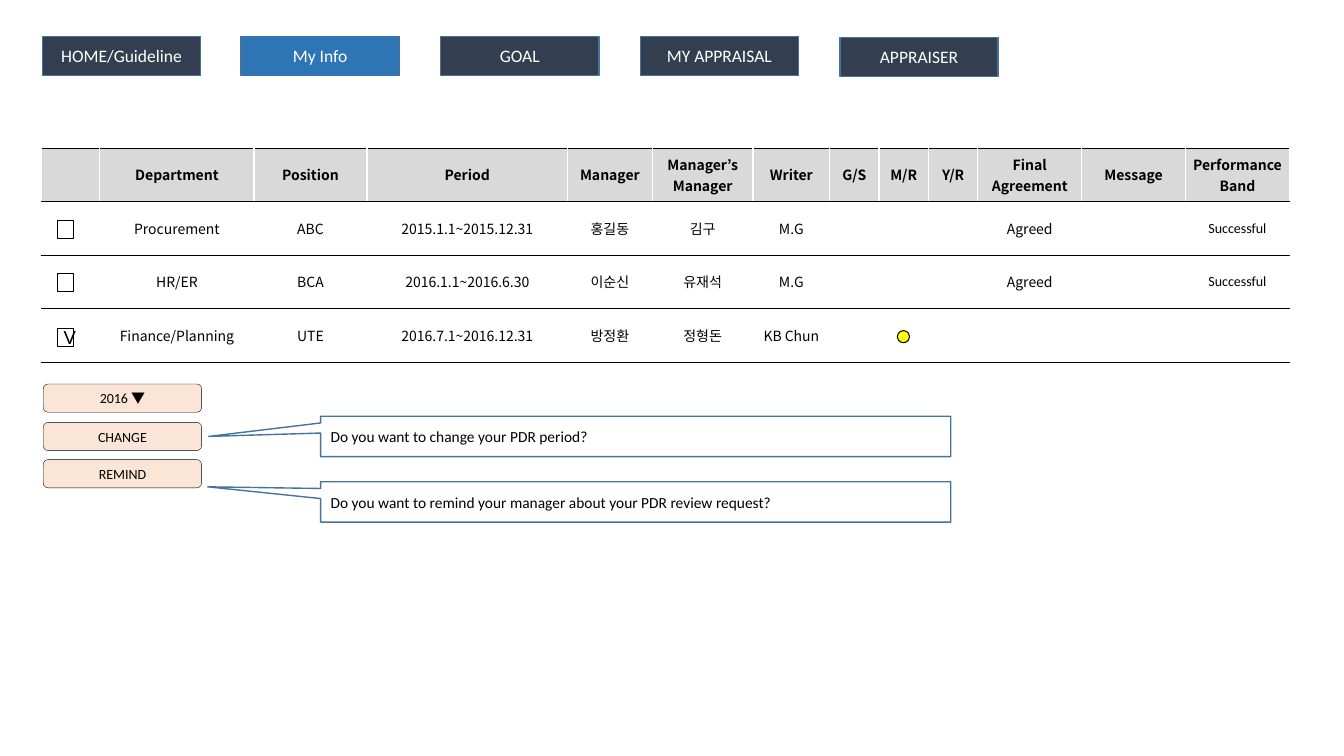
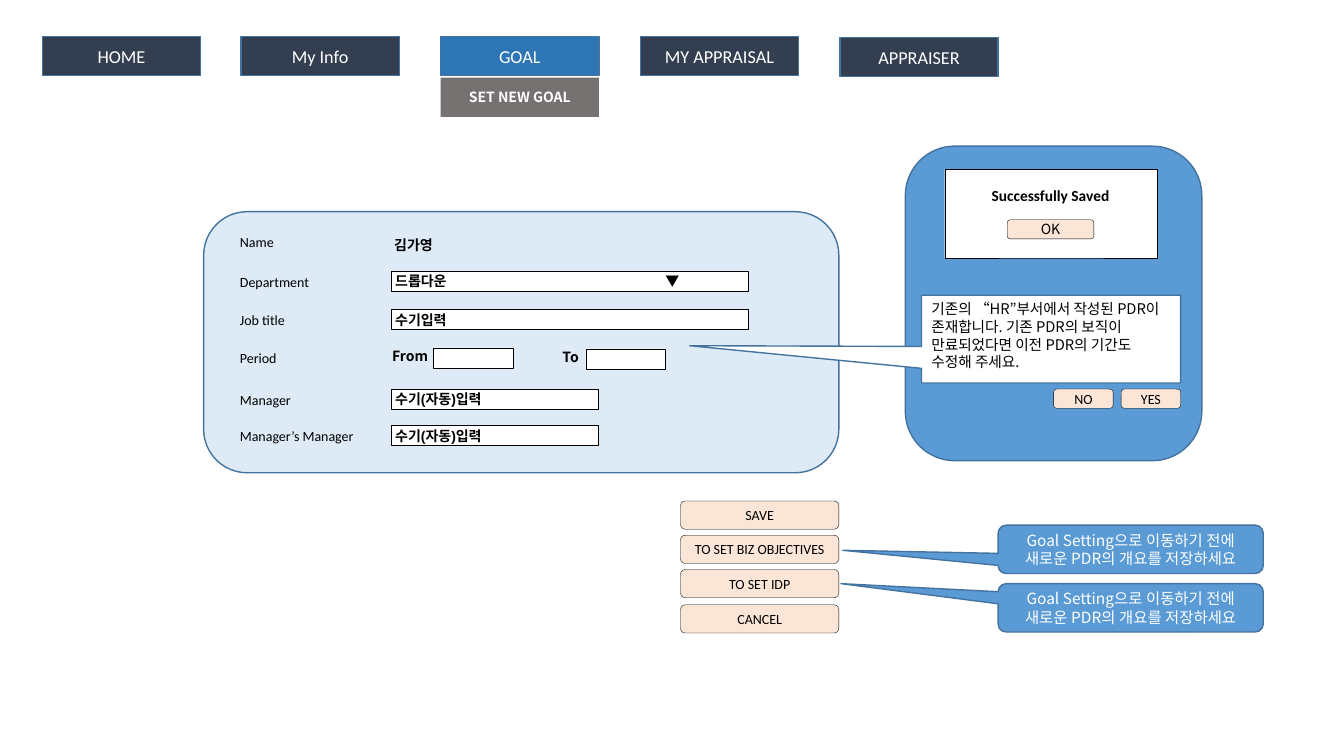
"""Build the two screens of a performance appraisal tool: My Info and Goal."""
import dataclasses
import typing

import lxml.etree
import pptx
import pptx.dml.color
import pptx.enum.shapes
import pptx.enum.text
import pptx.oxml.ns
import pptx.shapes.autoshape
import pptx.slide
import pptx.table
import pptx.text.text
import pptx.util

EMU_PER_PX = 9144
KIND = pptx.enum.shapes.MSO_SHAPE
ALIGN = pptx.enum.text.PP_ALIGN
ANCHOR = pptx.enum.text.MSO_ANCHOR


@dataclasses.dataclass(frozen=True)
class Theme:
    """Colours, fonts and type sizes of the deck."""
    white: str = "FFFFFF"
    black: str = "000000"
    navy: str = "333F50"
    active: str = "2E75B6"
    outline: str = "43739E"
    panel: str = "5B9BD5"
    form: str = "DEEBF7"
    peach: str = "FBE5D6"
    header: str = "D9D9D9"
    submenu: str = "767171"
    yellow: str = "FFFF00"
    sans: str = "Calibri"
    korean: str = "Noto Sans CJK KR"
    entry: str = "Arial"
    check: str = "Lato"
    small: float = 10
    note: float = 10.5
    medium: float = 11
    large: float = 13


THEME = Theme()


class Box(typing.NamedTuple):
    """Place and size in px."""
    left: int
    top: int
    width: int
    height: int


class Point(typing.NamedTuple):
    """Position in px."""
    x: int
    y: int


@dataclasses.dataclass(frozen=True)
class Style:
    """Look of a shape and of the text in it."""
    fill: str | None = None
    line: str | None = None
    line_width: float = 1
    font: str = THEME.sans
    size: float = THEME.small
    color: str = THEME.black
    bold: bool = False
    align: ALIGN = ALIGN.CENTER
    anchor: ANCHOR = ANCHOR.MIDDLE
    insets: tuple[int, int] = (10, 5)
    grow: bool = False


class FormField(typing.NamedTuple):
    """Label of the goal form with its entry box, if any."""
    label: str
    top: int
    label_width: int = 105
    entry: str = ""
    entry_width: int = 0


NAV = Style(THEME.navy, THEME.outline, color=THEME.white, size=THEME.large)
SUBMENU = Style(THEME.submenu, font=THEME.korean, color=THEME.white, bold=True)
BUTTON = Style(THEME.peach, THEME.black, 0.25, insets=(2, 0), grow=True)
OK_BUTTON = dataclasses.replace(BUTTON, font=THEME.korean, anchor=ANCHOR.TOP)
CHECKBOX = Style(None, THEME.black, 0.75, THEME.check, THEME.large, align=ALIGN.LEFT)
MARKER = Style(THEME.yellow, THEME.black, 0.75)
QUESTION = Style(None, THEME.outline, size=THEME.medium, align=ALIGN.LEFT)
HINT = Style(THEME.panel, THEME.outline, font=THEME.korean, size=THEME.medium, color=THEME.white)
WARNING = Style(THEME.white, THEME.outline, font=THEME.korean, size=THEME.note,
                align=ALIGN.LEFT, anchor=ANCHOR.TOP)
FORM = Style(THEME.form, THEME.outline)
PANEL = Style(THEME.panel, THEME.outline)
LABEL = Style(align=ALIGN.LEFT, anchor=ANCHOR.TOP, insets=(2, 2), grow=True)
ENTRY = Style(THEME.white, THEME.black, 0.25, THEME.entry, bold=True,
              align=ALIGN.LEFT, insets=(4, 4))
NAME = dataclasses.replace(ENTRY, fill=None, line=None)
PERIOD = Style(font=THEME.korean, bold=True, align=ALIGN.LEFT, anchor=ANCHOR.TOP, grow=True)
SAVED = dataclasses.replace(LABEL, size=THEME.medium, bold=True, align=ALIGN.CENTER)
CELL = Style(None, font=THEME.korean, insets=(2, 5))
HEADER = dataclasses.replace(CELL, fill=THEME.header, bold=True)
BAND = dataclasses.replace(CELL, font=THEME.sans)

COLUMNS = (58, 153, 112, 199, 84, 100, 76, 49, 49, 49, 103, 103, 103)
ROW_HEIGHT = 53
ROWS = (
    ("", "Department", "Position", "Period", "Manager", "Manager’s Manager", "Writer",
     "G/S", "M/R", "Y/R", "Final\nAgreement", "Message", "Performance Band"),
    ("", "Procurement", "ABC", "2015.1.1~2015.12.31", "홍길동", "김구", "M.G",
     "", "", "", "Agreed", "", "Successful"),
    ("", "HR/ER", "BCA", "2016.1.1~2016.6.30", "이순신", "유재석", "M.G",
     "", "", "", "Agreed", "", "Successful"),
    ("", "Finance/Planning", "UTE", "2016.7.1~2016.12.31", "방정환", "정형돈", "KB Chun",
     "", "", "", "", "", ""),
)
FIELDS = (
    FormField("Name", 230),
    FormField("Department", 269, entry="드롭다운\t▼", entry_width=354),
    FormField("Job title", 307, entry="수기입력", entry_width=354),
    FormField("Period", 345),
    FormField("Manager", 386, 75, "수기(자동)입력", 205),
    FormField("Manager’s Manager", 422, 134, "수기(자동)입력", 205),
)


def px(length: int) -> pptx.util.Emu:
    """Turn px into EMU."""
    return pptx.util.Emu(length * EMU_PER_PX)


def rgb(color: str) -> pptx.dml.color.RGBColor:
    """Turn a hex string into a colour."""
    return pptx.dml.color.RGBColor.from_string(color)


def style_span(span: pptx.text.text._Run, style: Style) -> None:
    """Set the font of one run, for Latin and for Korean letters."""
    span.font.size = pptx.util.Pt(style.size)
    span.font.bold = style.bold
    span.font.color.rgb = rgb(style.color)
    span.font.name = style.font
    properties = span._r.get_or_add_rPr()
    lxml.etree.SubElement(properties, pptx.oxml.ns.qn("a:ea"), typeface=THEME.korean)


def write(frame: pptx.text.text.TextFrame, text: str, style: Style) -> None:
    """Fill a text frame and format its runs."""
    frame.text = text
    for para in frame.paragraphs:
        para.alignment = style.align
        for span in para.runs:
            style_span(span, style)


def paint(fill: pptx.dml.fill.FillFormat, color: str | None) -> None:
    """Fill with a colour, or with nothing."""
    if color is None:
        fill.background()
    else:
        fill.solid()
        fill.fore_color.rgb = rgb(color)


def add_block(page: pptx.slide.Slide, kind: KIND | None, box: Box, style: Style,
              text: str = "") -> pptx.shapes.autoshape.Shape:
    """Draw a preset shape, or a text box when no kind is given."""
    place = [px(length) for length in box]
    if kind is None:
        block = page.shapes.add_textbox(*place)
    else:
        block = page.shapes.add_shape(kind, *place)
        block.shadow.inherit = False
        paint(block.fill, style.fill)
        paint(block.line.fill, style.line)
        if style.line:
            block.line.width = pptx.util.Pt(style.line_width)
    frame = block.text_frame
    frame.word_wrap = True
    frame.vertical_anchor = style.anchor
    frame.margin_left = frame.margin_right = px(style.insets[0])
    frame.margin_top = frame.margin_bottom = px(style.insets[1])
    if style.grow:
        frame.auto_size = pptx.enum.text.MSO_AUTO_SIZE.SHAPE_TO_FIT_TEXT
    if text:
        write(frame, text, style)
    return block


def add_callout(page: pptx.slide.Slide, kind: KIND, box: Box, tip: Point, style: Style,
                text: str) -> None:
    """Draw a callout whose tail ends at the tip."""
    callout = add_block(page, kind, box, style, text)
    callout.adjustments[0] = (tip.x - box.left) / box.width - 0.5
    callout.adjustments[1] = (tip.y - box.top) / box.height - 0.5


def add_navigation(page: pptx.slide.Slide, home: str, active: int, size: float) -> None:
    """Draw the menu buttons with the active one highlighted."""
    labels = (home, "My Info", "GOAL", "MY APPRAISAL", "APPRAISER")
    for index, label in enumerate(labels):
        fill = THEME.active if index == active else THEME.navy
        top = 37 if index == len(labels) - 1 else 36
        add_block(page, KIND.RECTANGLE, Box(42 + index * 791 // 4, top, 157, 39),
                  dataclasses.replace(NAV, fill=fill, size=size), label)


def add_borders(cell: pptx.table._Cell) -> None:
    """Give a cell white sides and thin black rules above and below."""
    properties = cell._tc.get_or_add_tcPr()
    sides = (("L", THEME.white, 1), ("R", THEME.white, 1),
             ("T", THEME.black, 0.25), ("B", THEME.black, 0.25))
    for index, (side, color, width) in enumerate(sides):
        line = lxml.etree.Element(pptx.oxml.ns.qn(f"a:ln{side}"), w=str(pptx.util.Pt(width)))
        solid = lxml.etree.SubElement(line, pptx.oxml.ns.qn("a:solidFill"))
        lxml.etree.SubElement(solid, pptx.oxml.ns.qn("a:srgbClr"), val=color)
        properties.insert(index, line)


def add_periods(page: pptx.slide.Slide) -> None:
    """Draw the table of appraisal periods."""
    table = page.shapes.add_table(len(ROWS), len(COLUMNS), px(41), px(147), px(sum(COLUMNS)),
                                  px(ROW_HEIGHT * len(ROWS))).table
    table.first_row = table.horz_banding = False
    for column, width in zip(table.columns, COLUMNS):
        column.width = px(width)
    for row_index, (row, texts) in enumerate(zip(table.rows, ROWS)):
        row.height = px(ROW_HEIGHT)
        for column_index, (cell, text) in enumerate(zip(row.cells, texts)):
            last = column_index == len(COLUMNS) - 1
            style = HEADER if row_index == 0 else BAND if last else CELL
            paint(cell.fill, style.fill)
            cell.vertical_anchor = style.anchor
            cell.margin_left = cell.margin_right = px(style.insets[0])
            cell.margin_top = cell.margin_bottom = px(style.insets[1])
            if text:
                write(cell.text_frame, text, style)
            add_borders(cell)


def build_info(page: pptx.slide.Slide) -> None:
    """Draw the My Info screen."""
    add_navigation(page, "HOME/Guideline", 1, 12.5)
    add_periods(page)
    add_block(page, KIND.OVAL, Box(890, 328, 12, 12), MARKER)
    for top, mark in ((219, ""), (271, ""), (326, "V")):
        add_block(page, KIND.RECTANGLE, Box(57, top, 16, 18), CHECKBOX, mark)
    year, *_ = [add_block(page, KIND.ROUNDED_RECTANGLE, Box(43, top, 157, 28), BUTTON, label)
                for top, label in ((381, "2016 "), (419, "CHANGE"), (456, "REMIND"))]
    arrow = year.text_frame.paragraphs[0].add_run()
    arrow.text = "▼"
    style_span(arrow, dataclasses.replace(BUTTON, font=THEME.korean))
    questions = (
        (478, Point(206, 483), "Do you want to remind your manager about your PDR review request?"),
        (413, Point(207, 433), "Do you want to change your PDR period?"),
    )
    for top, tip, text in questions:
        add_callout(page, KIND.RECTANGULAR_CALLOUT, Box(318, top, 625, 40), tip, QUESTION, text)


def add_form(page: pptx.slide.Slide) -> None:
    """Draw the goal form with its labels and entry boxes."""
    add_block(page, KIND.ROUNDED_RECTANGLE, Box(202, 210, 630, 259), FORM)
    for field in FIELDS:
        add_block(page, None, Box(236, field.top, field.label_width, 21), LABEL, field.label)
        if field.entry:
            entry = add_block(page, KIND.RECTANGLE, Box(388, field.top, field.entry_width, 20),
                              ENTRY, field.entry)
            if "\t" in field.entry:
                properties = entry.text_frame.paragraphs[0]._p.get_or_add_pPr()
                stops = lxml.etree.SubElement(properties, pptx.oxml.ns.qn("a:tabLst"))
                lxml.etree.SubElement(stops, pptx.oxml.ns.qn("a:tab"), pos=str(px(268)), algn="l")
    add_block(page, None, Box(387, 230, 354, 26), NAME, "김가영")
    add_block(page, None, Box(379, 340, 56, 27), PERIOD, "From")
    add_block(page, None, Box(538, 341, 56, 27),
              dataclasses.replace(PERIOD, align=ALIGN.CENTER), "To")
    for left, top in ((430, 345), (581, 346)):
        add_block(page, KIND.RECTANGLE, Box(left, top, 79, 20), ENTRY)


def build_goal(page: pptx.slide.Slide) -> None:
    """Draw the Goal screen."""
    add_navigation(page, "HOME", 2, THEME.large)
    add_block(page, KIND.RECTANGLE, Box(437, 77, 157, 39), SUBMENU, "SET NEW GOAL")
    add_form(page)
    actions = ("SAVE", "TO SET BIZ OBJECTIVES", "TO SET IDP", "CANCEL")
    for index, label in enumerate(actions):
        add_block(page, KIND.ROUNDED_RECTANGLE, Box(675, 497 + index * 103 // 3, 157, 28),
                  BUTTON, label)
    for top, tip in ((521, Point(836, 546)), (579, Point(834, 579))):
        add_callout(page, KIND.ROUNDED_RECTANGULAR_CALLOUT, Box(990, top, 263, 48), tip, HINT,
                    "Goal Setting으로 이동하기 전에 새로운 PDR의 개요를 저장하세요")
    add_block(page, KIND.ROUNDED_RECTANGLE, Box(898, 145, 294, 312), PANEL)
    add_block(page, KIND.RECTANGLE, Box(937, 168, 211, 88),
              Style(THEME.white, THEME.black, 0.25))
    add_block(page, None, Box(957, 183, 170, 22), SAVED, "Successfully Saved")
    add_block(page, KIND.ROUNDED_RECTANGLE, Box(999, 218, 86, 19), OK_BUTTON, "OK")
    add_callout(page, KIND.RECTANGULAR_CALLOUT, Box(914, 293, 257, 87), Point(684, 343), WARNING,
                "기존의 “HR”부서에서 작성된 PDR이 존재합니다. 기존 PDR의 보직이 만료되었다면 "
                "이전 PDR의 기간도 수정해 주세요.")
    for left, label in ((1112, "YES"), (1045, "NO")):
        add_block(page, KIND.ROUNDED_RECTANGLE, Box(left, 386, 59, 19), BUTTON, label)


def main() -> None:
    """Build and save the deck."""
    deck = pptx.Presentation()
    deck.slide_width, deck.slide_height = px(1333), px(750)
    for build in (build_info, build_goal):
        build(deck.slides.add_slide(deck.slide_layouts[6]))
    deck.save("out.pptx")


if __name__ == "__main__":
    main()
